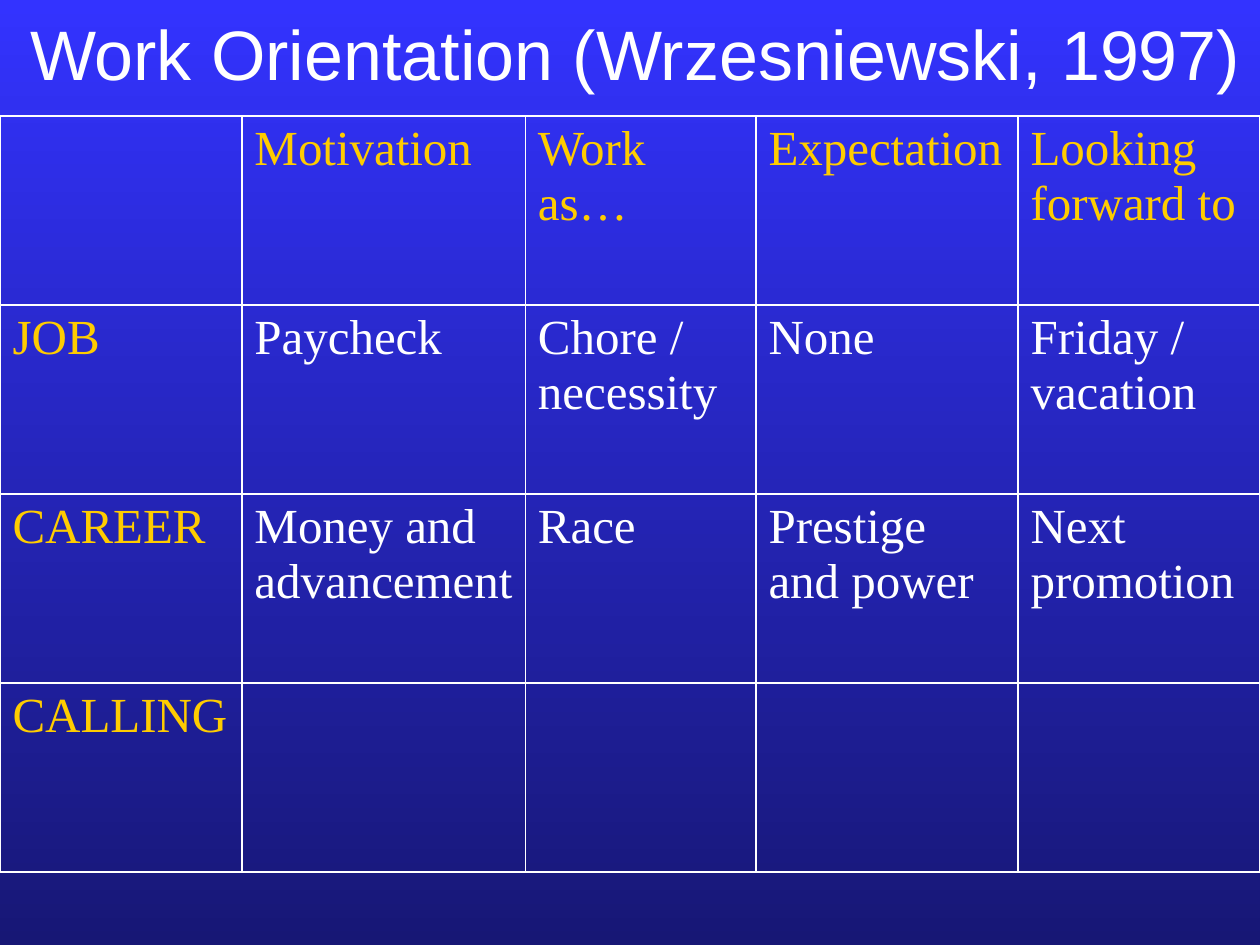
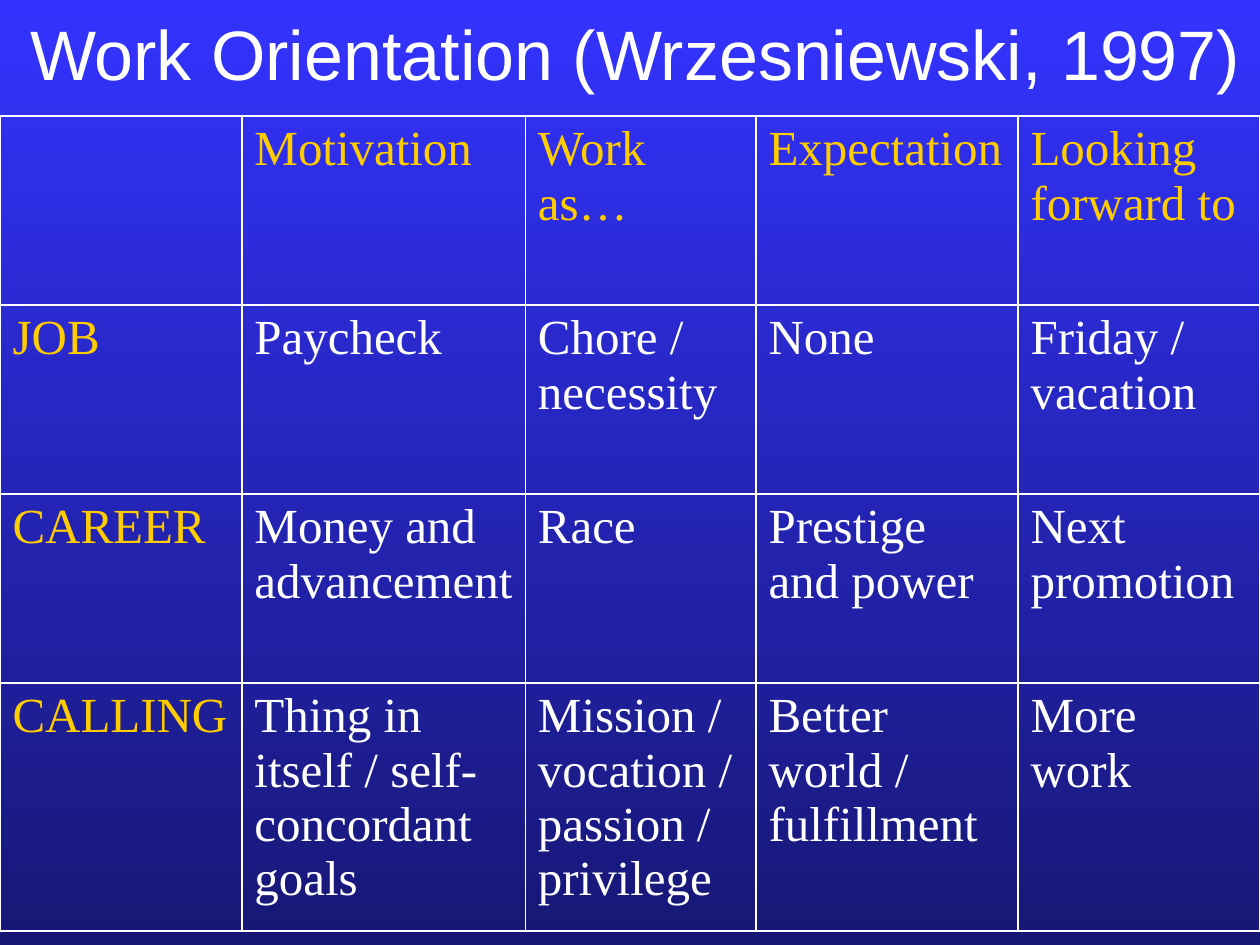
from lxml import etree
from pptx import Presentation
from pptx.dml.color import RGBColor
from pptx.enum.text import MSO_ANCHOR, PP_ALIGN
from pptx.oxml.ns import qn
from pptx.util import Inches, Pt

WHITE = RGBColor(0xFF, 0xFF, 0xFF)
GOLD = RGBColor(0xFF, 0xCC, 0x00)
BRIGHT_BLUE = RGBColor(0x33, 0x33, 0xFF)
NAVY = RGBColor(0x17, 0x17, 0x75)

TITLE = "Work Orientation (Wrzesniewski, 1997)"
COLUMN_WIDTHS = [1.92, 2.25, 1.83, 2.08, 1.92]
ROW_HEIGHT = 1.5
TABLE_TOP = 0.92
BORDER_WIDTH = Pt(1.08)

# Rows that both slides share
SHARED_ROWS = [
    ["", "Motivation", "Work as…", "Expectation", "Looking forward to"],
    ["JOB", "Paycheck", "Chore / necessity", "None", "Friday / vacation"],
    ["CAREER", "Money and advancement", "Race", "Prestige and power", "Next promotion"],
]

# The last row of each slide, with its height
CALLING_ROWS = [
    (1.5, ["CALLING", "", "", "", ""]),
    (1.97, ["CALLING", "Thing in itself / self-concordant goals",
            "Mission / vocation / passion / privilege",
            "Better world / fulfillment", "More work"]),
]


def style_text(paragraph, font_name, size, color):
    for run in paragraph.runs:
        run.font.name = font_name
        run.font.size = Pt(size)
        run.font.color.rgb = color


def add_borders(cell):
    properties = cell._tc.get_or_add_tcPr()
    for side in ("a:lnL", "a:lnR", "a:lnT", "a:lnB"):
        line = etree.SubElement(properties, qn(side), w=str(BORDER_WIDTH))
        fill = etree.SubElement(line, qn("a:solidFill"))
        etree.SubElement(fill, qn("a:srgbClr"), val=str(WHITE))


presentation = Presentation()
presentation.slide_width = Inches(10)
presentation.slide_height = Inches(7.5)
blank_layout = presentation.slide_layouts[6]

for calling_height, calling_row in CALLING_ROWS:
    slide = presentation.slides.add_slide(blank_layout)

    # Background, bright at the top and dark at the bottom
    background = slide.background.fill
    background.gradient()
    background.gradient_angle = 270
    for stop, color in zip(background.gradient_stops, (BRIGHT_BLUE, NAVY)):
        stop.color.rgb = color

    # Table
    rows = SHARED_ROWS + [calling_row]
    heights = [ROW_HEIGHT] * len(SHARED_ROWS) + [calling_height]
    table = slide.shapes.add_table(
        len(rows), len(COLUMN_WIDTHS), Inches(0), Inches(TABLE_TOP),
        Inches(sum(COLUMN_WIDTHS)), Inches(sum(heights))).table
    table.first_row = False
    table.horz_banding = False
    for column, width in zip(table.columns, COLUMN_WIDTHS):
        column.width = Inches(width)

    for row_index, (texts, height) in enumerate(zip(rows, heights)):
        table.rows[row_index].height = Inches(height)
        for column_index, text in enumerate(texts):
            cell = table.cell(row_index, column_index)
            add_borders(cell)
            cell.fill.background()
            cell.text_frame.text = text
            is_heading = row_index == 0 or column_index == 0
            style_text(cell.text_frame.paragraphs[0], "Times New Roman", 28,
                       GOLD if is_heading else WHITE)

    # Title
    title = slide.shapes.add_textbox(
        Inches(0), Inches(0.08), Inches(10.08), Inches(0.67))
    title_frame = title.text_frame
    title_frame.word_wrap = True
    title_frame.vertical_anchor = MSO_ANCHOR.MIDDLE
    title_frame.text = TITLE
    title_paragraph = title_frame.paragraphs[0]
    title_paragraph.alignment = PP_ALIGN.CENTER
    style_text(title_paragraph, "Arial", 40, WHITE)

presentation.save("out.pptx")
